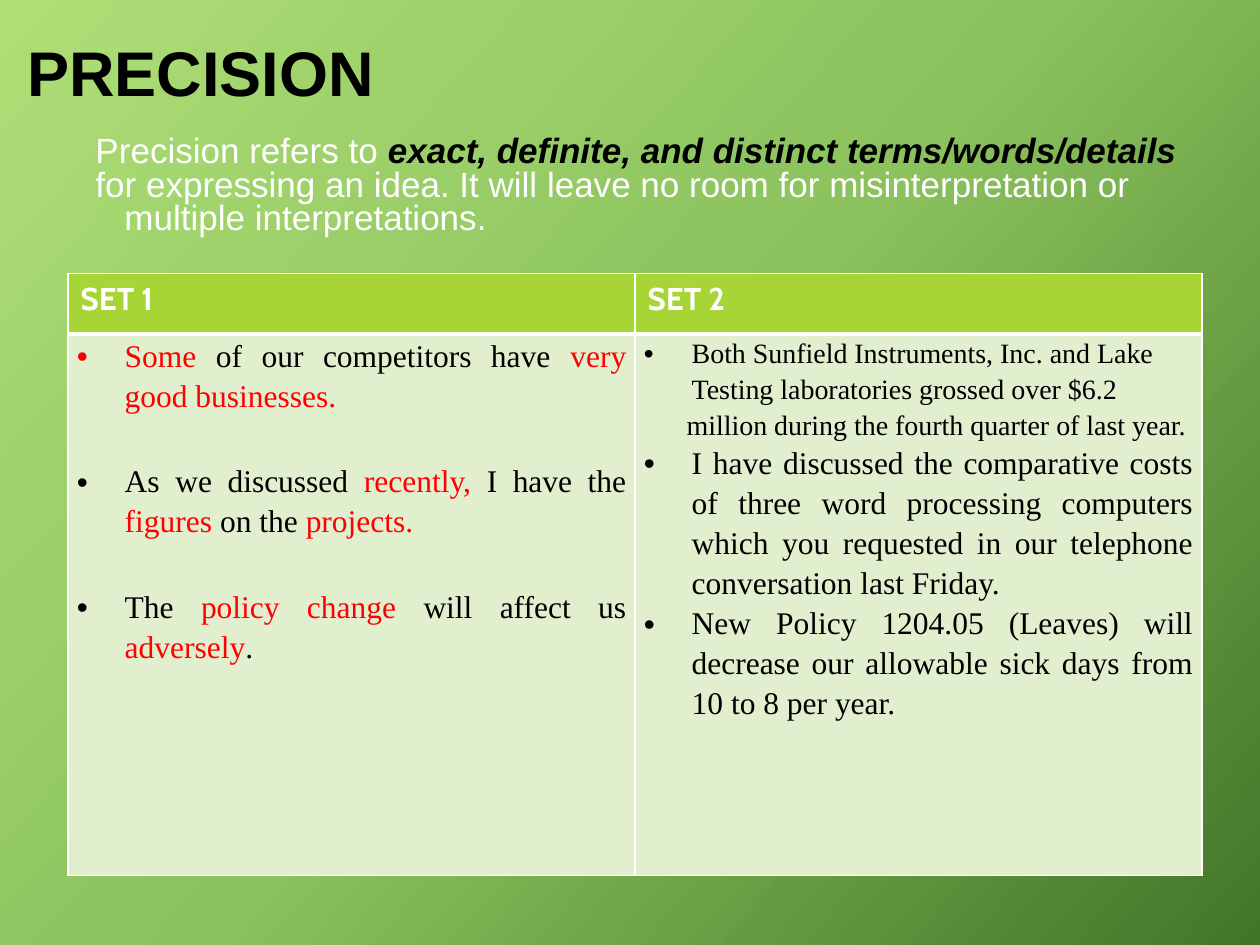
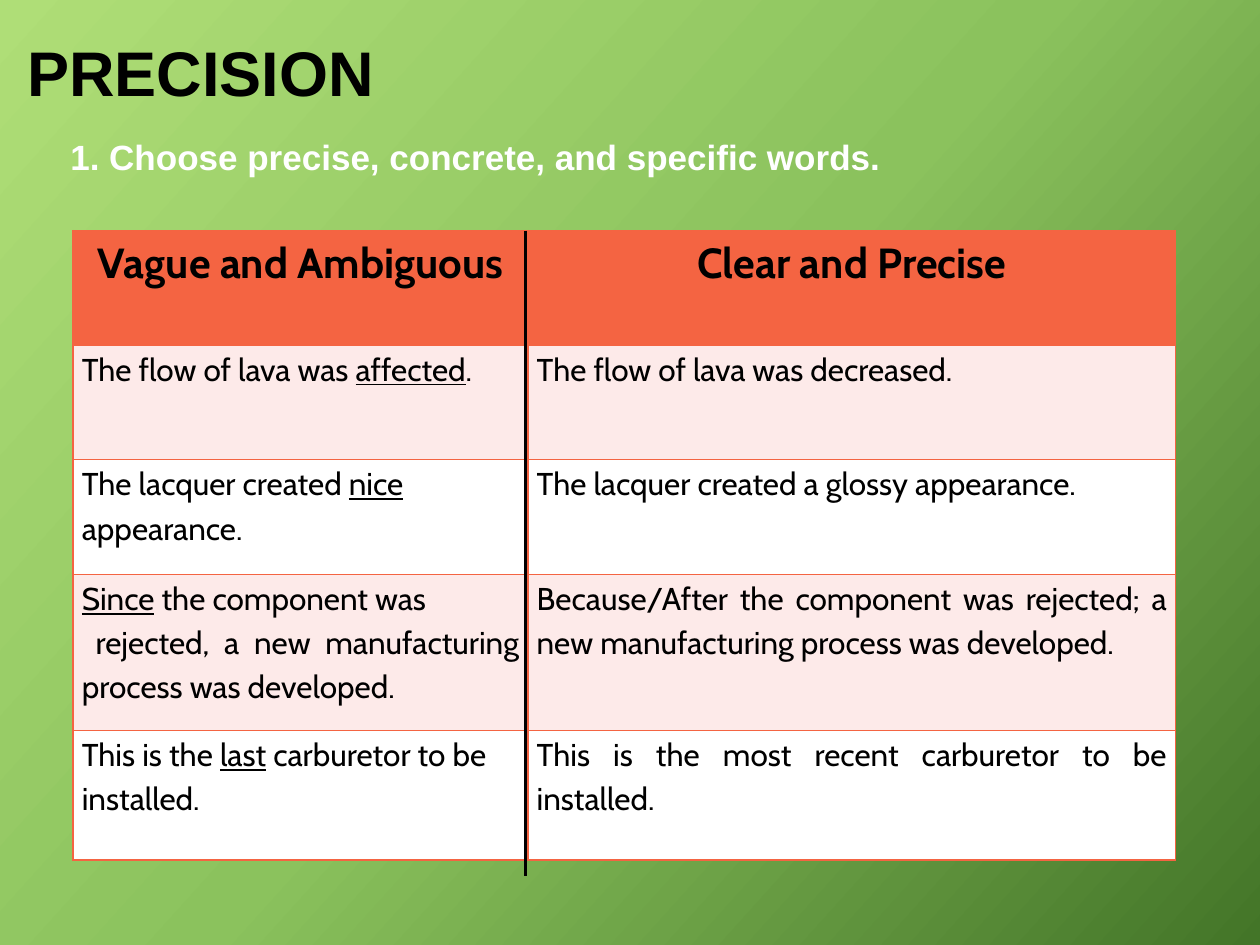
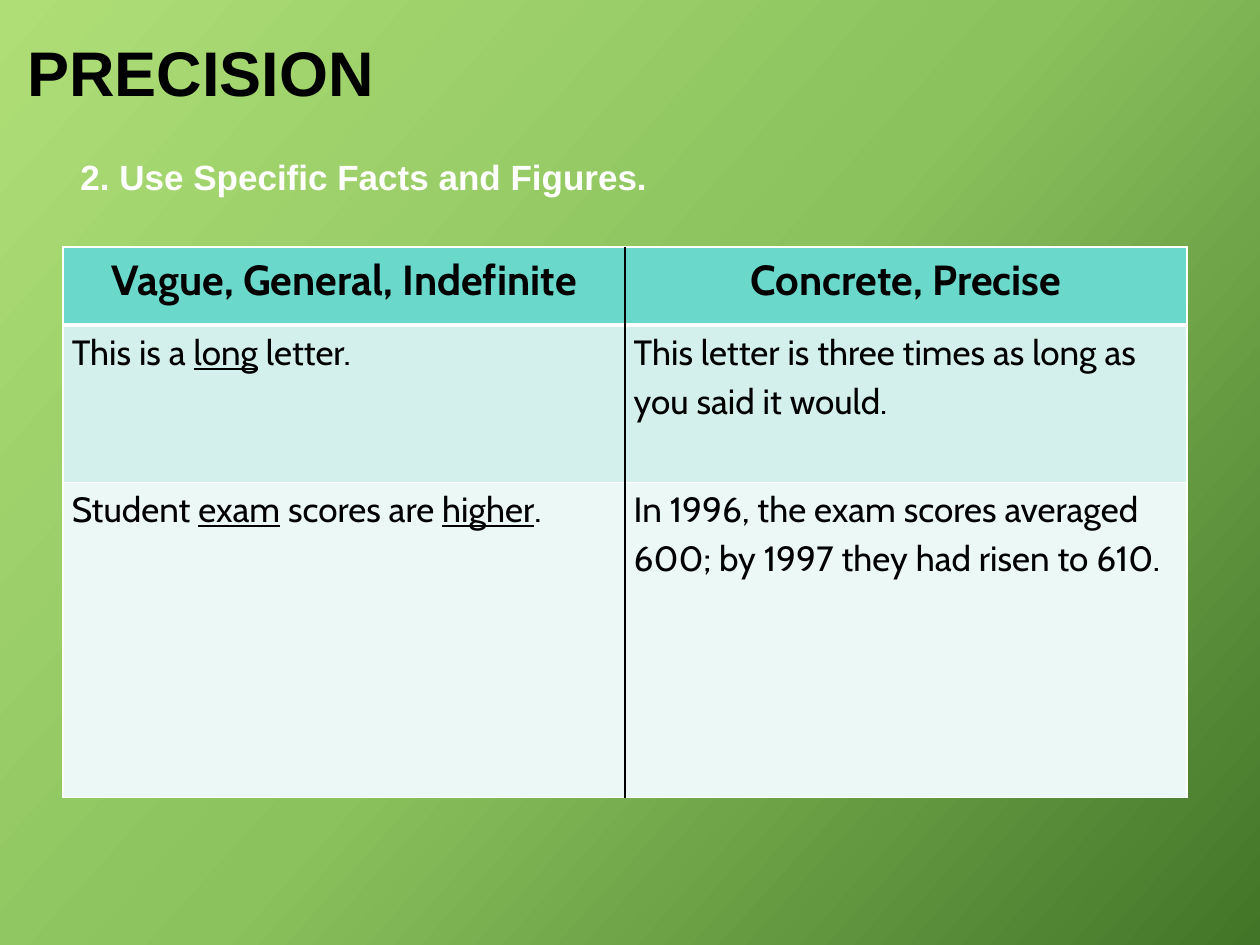
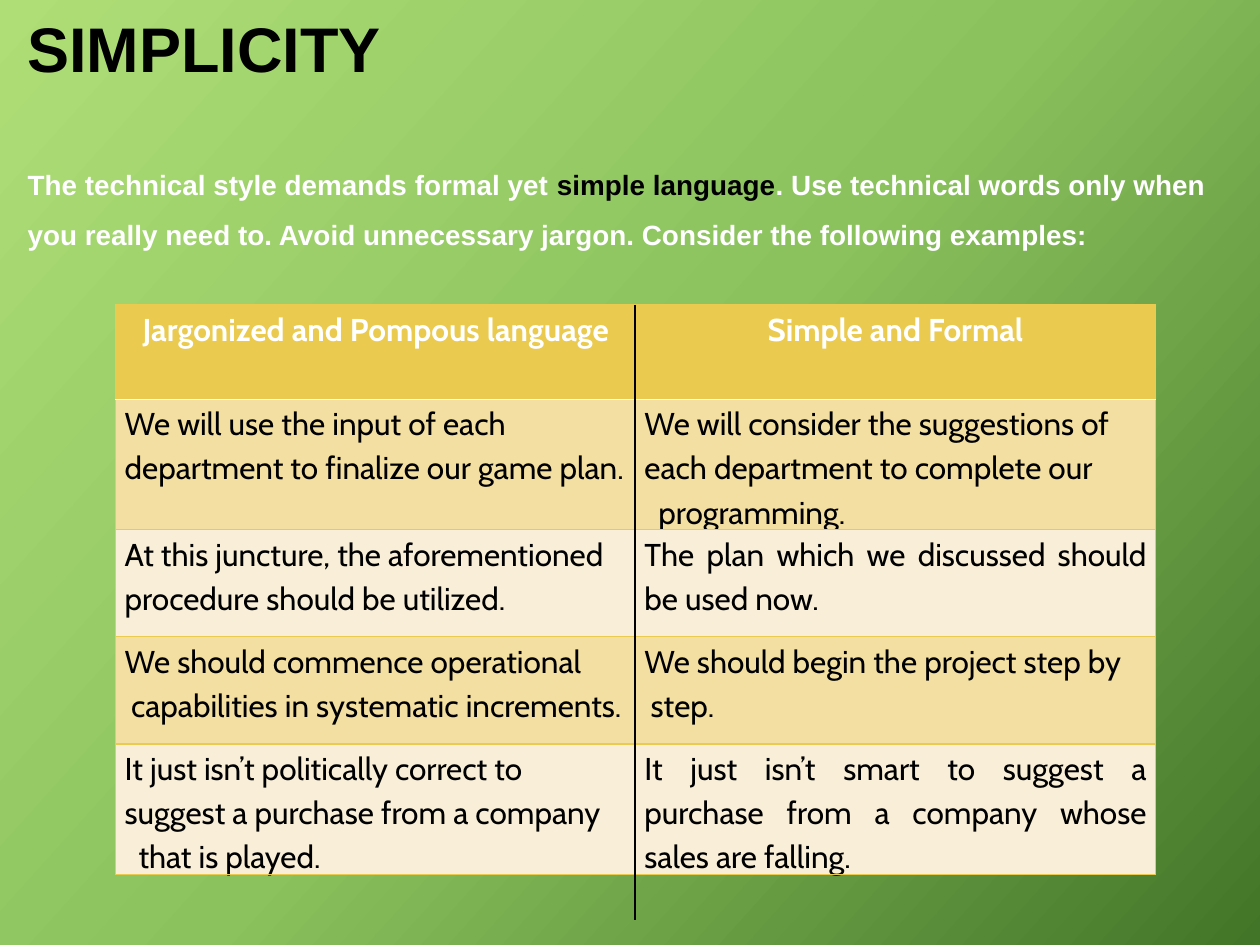
import copy

import pptx
import pptx.dml.color
import pptx.enum.shapes
import pptx.enum.text
import pptx.oxml.ns
import pptx.oxml.xmlchemy
import pptx.util
from lxml import etree

HUES = {
    "pale": "AFDE77", "leaf": "8BC25D", "moss": "437528",
    "ink": "000000", "white": "FFFFFF", "red": "FF0000",
    "lime": "A7D535", "mint": "E1EFCE",
    "coral": "F46442", "blush": "FDEAE9",
    "teal": "6AD8CB", "aqua": "D4F0EC", "ice": "EBF8F6",
    "gold": "EACA4F", "sand": "F2DFA1", "cream": "F9EFD8",
}
WIDE, HIGH = pptx.util.Inches(10), pptx.util.Inches(7.5)
ALIGN = pptx.enum.text.PP_ALIGN
ANCHOR = pptx.enum.text.MSO_ANCHOR
SERIF = "Times New Roman"


def across(share):
    """Percent of the slide's width."""
    return round(WIDE * share / 100)


def down(share):
    """Percent of the slide's height."""
    return round(HIGH * share / 100)


def hue(name):
    return pptx.dml.color.RGBColor.from_string(HUES[name])


def add(parent, tag, **attrs):
    node = etree.SubElement(parent, pptx.oxml.ns.qn(tag))
    for key, value in attrs.items():
        node.set(key, str(value))
    return node


def style(run, size=18, font="Arial", color="ink", bold=False,
          italic=False, under=False):
    face = run.font
    face.size = pptx.util.Pt(size)
    face.name = font
    face.color.rgb = hue(color)
    face.bold, face.italic, face.underline = bold, italic, under


def shape_para(para, align=None, lead=1, before=0, left=0, first=0,
               bullet=None):
    para.alignment = align
    para.line_spacing = lead
    if before:
        para.space_before = pptx.util.Pt(before)
    props = para._p.get_or_add_pPr()
    props.set("marL", str(pptx.util.Inches(left)))
    props.set("indent", str(pptx.util.Inches(first)))
    if bullet:
        add(props, "a:buFont", typeface="Arial")
        add(props, "a:buChar", char=bullet)


def write(frame, paras, mark=None, align=ALIGN.LEFT, lead=1, **look):
    """Fill a frame; *starred* words take the mark format, \\n breaks a line.

    A paragraph is a string, or a pair of a string and its own format.
    """
    frame.word_wrap = True
    own_keys = ("before", "left", "first", "bullet")
    for i, item in enumerate([paras] if isinstance(paras, str) else paras):
        words, own = (item, {}) if isinstance(item, str) else item
        para = frame.paragraphs[0] if i == 0 else frame.add_paragraph()
        side = ALIGN.LEFT if "\n" in words and align == ALIGN.JUSTIFY else align
        shape_para(para, side, lead,
                   **{k: v for k, v in own.items() if k in own_keys})
        base = {**look, **{k: v for k, v in own.items() if k not in own_keys}}
        for j, part in enumerate(words.split("*")):
            full = {**base, **(mark or {})} if j % 2 else base
            for k, line in enumerate(part.split("\n")):
                if k:
                    para.add_line_break()
                if line:
                    run = para.add_run()
                    run.text = line
                    style(run, **full)


def label(slide, x, y, w, h, words, **look):
    box = slide.shapes.add_textbox(across(x), down(y), across(w), down(h))
    box.text_frame.vertical_anchor = ANCHOR.MIDDLE
    write(box.text_frame, words, **look)


def title(slide, words, h=15.6):
    label(slide, 1.2, 0.27, 98.8, h, words, size=36, bold=True, lead=0.9)


def edge(cell, sides):
    """Draw cell borders from a dict of side to (colour, points)."""
    props = cell._tc.get_or_add_tcPr()
    for side in "LRTB":
        color, width = sides[side]
        line = add(props, "a:ln" + side, w=pptx.util.Pt(width))
        add(add(line, "a:solidFill"), "a:srgbClr", val=HUES[color])


def grid(slide, x, y, cols, rows, head, cells, fills, rule, under,
         top, body, pad=True):
    """Table with a heading row; fills holds the heading's and the bands'."""
    table = slide.shapes.add_table(
        len(rows), len(cols), across(x), down(y),
        across(sum(cols)), down(sum(rows))).table
    table.first_row = table.horz_banding = False
    for col, w in zip(table.columns, cols):
        col.width = across(w)
    for row, h in zip(table.rows, rows):
        row.height = down(h)
    for r, line in enumerate([head] + cells):
        for c, words in enumerate(line):
            cell = table.cell(r, c)
            if r or pad:
                cell.margin_left = cell.margin_right = pptx.util.Inches(0.07)
                cell.margin_top = cell.margin_bottom = 0
            sides = dict.fromkeys("LRTB", rule)
            if r < 2:
                sides["T" if r else "B"] = under
            edge(cell, sides)
            cell.fill.solid()
            band = 1 + (r - 1) % (len(fills) - 1) if r else 0
            cell.fill.fore_color.rgb = hue(fills[band])
            write(cell.text_frame, words, **(body if r else top))


def divide(slide, x, y, end, width=0.75):
    line = slide.shapes.add_connector(
        pptx.enum.shapes.MSO_CONNECTOR.STRAIGHT,
        across(x), down(y), across(x), down(end))
    line.line.color.rgb = hue("ink")
    line.line.width = pptx.util.Pt(width)
    add(line._element.spPr, "a:effectLst")


def backdrop(master):
    fill = master.background.fill
    fill.gradient()
    fill.gradient_angle = 318
    stops = next(master.element.iter(pptx.oxml.ns.qn("a:gsLst")))
    stops.append(copy.deepcopy(stops[-1]))
    for stop, name, place in zip(fill.gradient_stops,
                                 ("pale", "leaf", "moss"), (0, 0.5, 1)):
        stop.color.rgb = hue(name)
        stop.position = place


HEAD = dict(font="Cabin", bold=True, align=ALIGN.CENTER, lead=1.15)
BODY = dict(font="Cabin", align=ALIGN.JUSTIFY, lead=1.15,
            mark=dict(under=True))
DOT = dict(left=0.38, first=-0.38, bullet="•")
STEP = dict(first=0.11)
NUDGE = dict(first=0.05)


def define(slide):
    title(slide, "PRECISION")
    label(slide, 6.6, 13.33, 88.4, 12.93, [
        "Precision refers to *exact, definite, and distinct "
        "terms/words/details *for expressing an idea. It will leave no room "
        "for misinterpretation or",
        ("multiple interpretations.", dict(left=0.23))],
        size=20, color="white", lead=0.8,
        mark=dict(color="ink", bold=True, italic=True))
    apart = dict(DOT, before=26)
    vague = [
        ("*Some* of our competitors have *very good businesses.*", DOT),
        ("As we discussed *recently, *I have the *figures* on the "
         "*projects.*", apart),
        ("The *policy change* will affect us *adversely*.", apart)]
    exact = [
        ("Both Sunfield Instruments, Inc. and Lake\n"
         "Testing laboratories grossed over $6.2", dict(DOT, size=16)),
        ("million during the fourth quarter of last year.",
         dict(first=0.34, size=16)),
        ("I have discussed the comparative costs of three word processing "
         "computers which you requested in our telephone conversation last "
         "Friday.", DOT),
        ("New Policy 1204.05 (Leaves) will decrease our allowable sick days "
         "from 10 to 8 per year.", DOT)]
    grid(slide, 5.4, 28.93, [45] * 2, [6.4, 57.33], ["SET 1", "SET 2"],
         [[vague, exact]], ("lime", "mint"), ("white", 1), ("white", 3),
         dict(font="Cabin", bold=True, color="white"),
         dict(BODY, font=SERIF, mark=dict(color="red")), pad=False)


def choose(slide):
    title(slide, "PRECISION")
    label(slide, 4.6, 14.4, 88.4, 5.07,
          "1. Choose precise, concrete, and specific words.",
          size=20, color="white", bold=True, lead=0.8)
    cells = [
        ["The flow of lava was *affected*.",
         "The flow of lava was decreased."],
        ["The lacquer created *nice*\nappearance.",
         "The lacquer created a glossy appearance."],
        [["*Since* the component was",
          ("rejected, a new manufacturing process was developed.", STEP)],
         "Because/After the component was rejected; a new manufacturing "
         "process was developed."],
        ["This is the *last* carburetor to be\ninstalled.",
         "This is the most recent carburetor to be installed."]]
    grid(slide, 5.8, 24.4, [36.1, 51.4], [12.13] * 3 + [16.53, 13.73],
         ["Vague and Ambiguous", "Clear and Precise"], cells,
         ("coral", "blush", "white"), ("coral", 1), ("coral", 1),
         dict(HEAD, size=24), BODY)
    divide(slide, 41.7, 24.4, 92.67, 1.5)


def figures(slide):
    title(slide, "PRECISION")
    label(slide, 5.4, 15.47, 88.4, 6.93, "2. Use Specific Facts and Figures.",
          size=20, color="white", bold=True, lead=0.9)
    cells = [
        ["This is a *long* letter.",
         "This letter is three times as long as\nyou said it would."],
        ["Student *exam* scores are *higher*.",
         "In 1996, the exam scores averaged\n"
         "600; by 1997 they had risen to 610."]]
    grid(slide, 5, 26.13, [44.6] * 2, [8.27, 16.67, 33.33],
         ["Vague, General, Indefinite", "Concrete, Precise"], cells,
         ("teal", "aqua", "ice"), ("white", 1), ("white", 3),
         dict(HEAD, size=24), dict(BODY, size=20))
    divide(slide, 49.6, 26.13, 84.4)


def simple(slide):
    title(slide, "SIMPLICITY", h=10.4)
    label(slide, 1.2, 11.87, 98.8, 18.8,
          "The technical style demands formal yet *simple language*. Use "
          "technical words only when you really need to. Avoid unnecessary "
          "jargon. Consider the following examples:",
          size=15.9, color="white", bold=True, lead=1.5,
          mark=dict(color="ink"))
    cells = [
        ["We will use the input of each\n"
         "department to finalize our game plan.",
         ["We will consider the suggestions of\n"
          "each department to complete our", ("programming.", STEP)]],
        ["At this juncture, the aforementioned\n"
         "procedure should be utilized.",
         "The plan which we discussed should be used now."],
        [["We should commence operational",
          ("capabilities in systematic increments.", NUDGE)],
         ["We should begin the project step by", ("step.", NUDGE)]],
        [["It just isn’t politically correct to\n"
          "suggest a purchase from a company", ("that is played.", STEP)],
         "It just isn’t smart to suggest a purchase from a company whose "
         "sales are falling."]]
    grid(slide, 9.2, 32.27, [41.25] * 2, [10, 13.2, 11.33, 11.33, 13.2],
         ["Jargonized and Pompous language", "Simple and Formal"], cells,
         ("gold", "sand", "cream"), ("gold", 0.75), ("white", 1),
         dict(HEAD, color="white"), BODY)
    divide(slide, 50.4, 32.27, 97.33)


def main():
    deck = pptx.Presentation()
    deck.slide_width, deck.slide_height = WIDE, HIGH
    backdrop(deck.slide_master)
    for build in (define, choose, figures, simple):
        build(deck.slides.add_slide(deck.slide_layouts[6]))
    deck.save("out.pptx")


if __name__ == "__main__":
    main()
